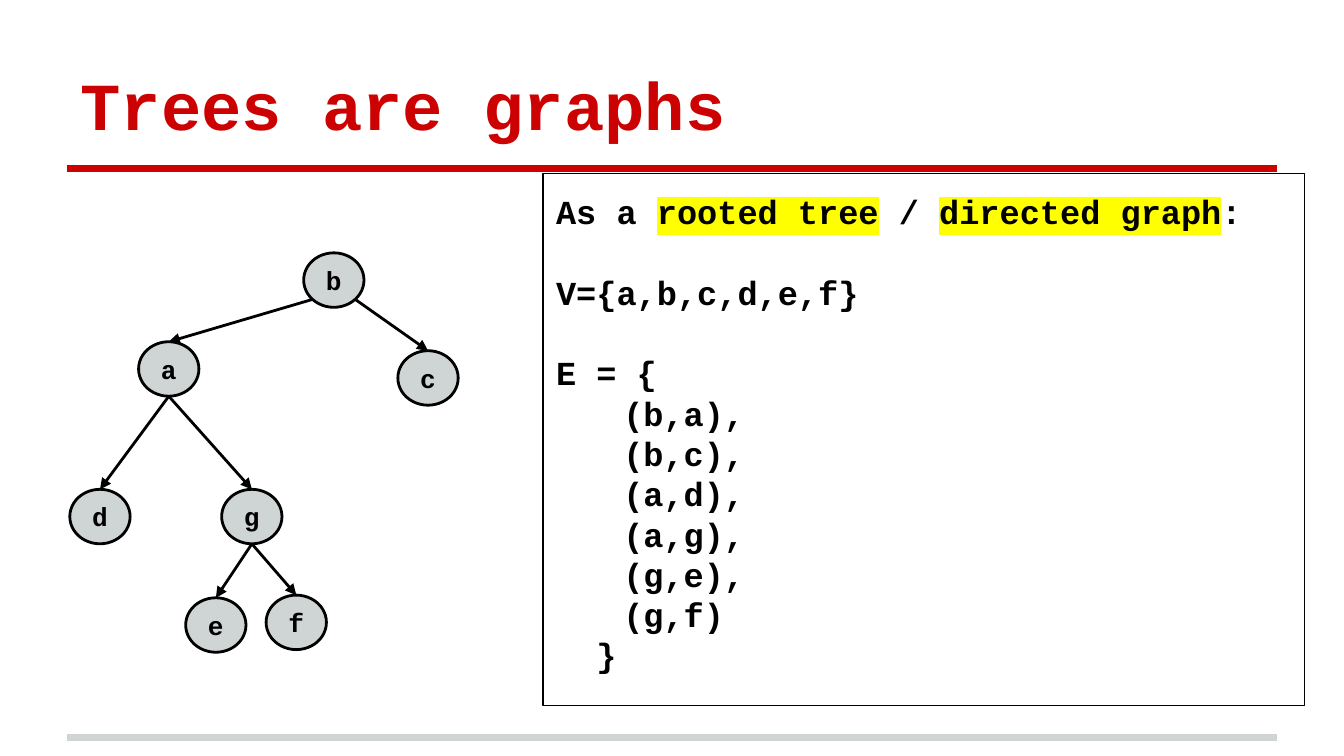
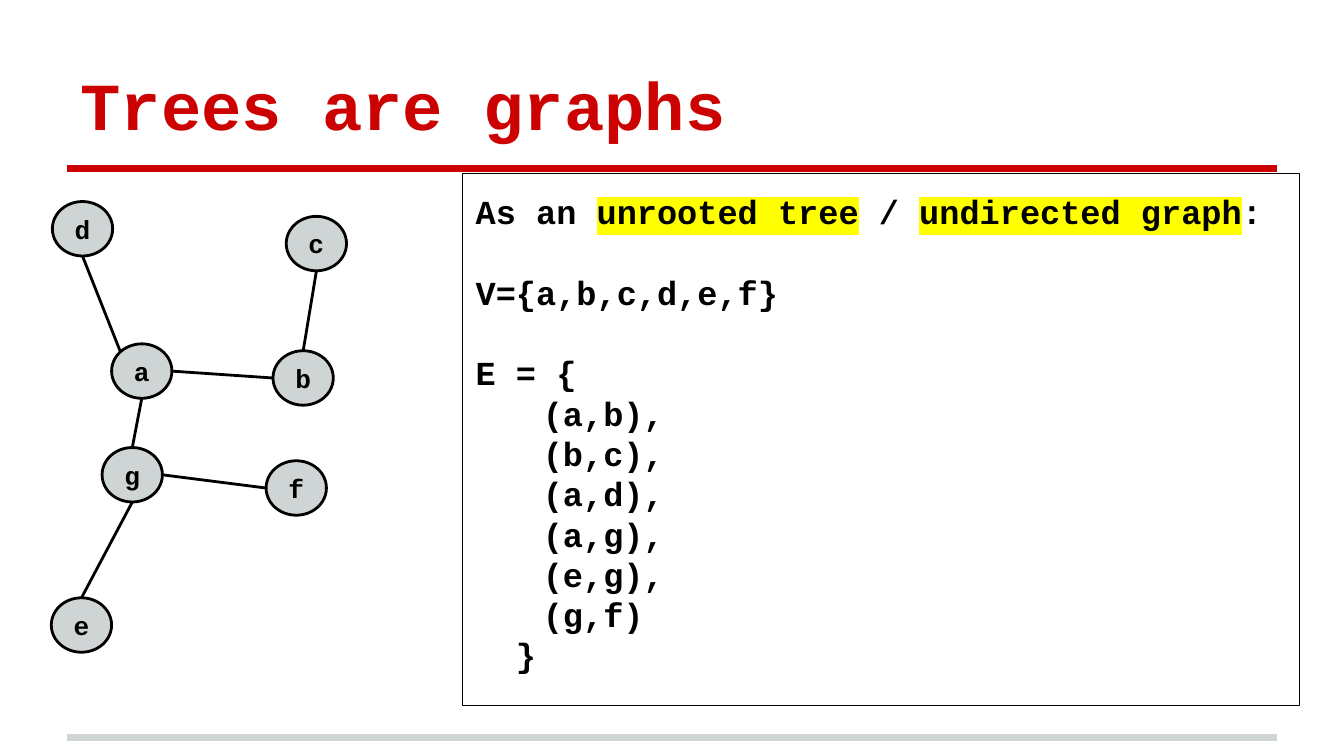
from math import cos, pi, sin

from lxml import etree
from pptx import Presentation
from pptx.dml.color import RGBColor
from pptx.enum.shapes import MSO_CONNECTOR, MSO_SHAPE
from pptx.enum.text import MSO_ANCHOR, MSO_AUTO_SIZE, PP_ALIGN
from pptx.oxml.ns import qn
from pptx.util import Cm, Pt

STRAIGHT = MSO_CONNECTOR.STRAIGHT
OVAL, RECT = MSO_SHAPE.OVAL, MSO_SHAPE.RECTANGLE
TOP, MIDDLE, BOTTOM = MSO_ANCHOR.TOP, MSO_ANCHOR.MIDDLE, MSO_ANCHOR.BOTTOM
LEFT, CENTER = PP_ALIGN.LEFT, PP_ALIGN.CENTER
FIXED = MSO_AUTO_SIZE.NONE

RED = RGBColor(0xCC, 0x02, 0x02)
GREY = RGBColor(0xCF, 0xD4, 0xD4)
BLACK = RGBColor(0, 0, 0)
MARK = "FFFF00"
FONT = "Courier New"

# Content: nodes are (left, top) in cm. Edges are (node, site, node, site),
# where oval sites run counter-clockwise from the top in steps of 45 degrees.
TITLE = "Trees are graphs"
VERTS = "V={a,b,c,d,e,f}"
SLIDES = [
    {
        "nodes": {"b": (5.74, 4.78), "a": (2.62, 6.46), "c": (7.52, 6.63),
                  "d": (1.32, 9.25), "g": (4.19, 9.25), "f": (5.03, 11.25),
                  "e": (3.51, 11.3)},
        "edges": [("b", 5, "c", 0), ("b", 3, "a", 0), ("a", 4, "d", 0),
                  ("a", 4, "g", 0), ("g", 4, "e", 0), ("g", 4, "f", 0)],
        "arrows": True,
        "box": (10.26, 14.4),
        "intro": ["As a ", "rooted tree", " / ", "directed graph", ":"],
        "pairs": ["(b,a),", "(b,c),", "(a,d),", "(a,g),", "(g,e),", "(g,f)"],
    },
    {
        "nodes": {"b": (5.16, 6.63), "a": (2.11, 6.5), "c": (5.41, 4.09),
                  "d": (0.99, 3.81), "g": (1.93, 8.46), "f": (5.03, 8.71),
                  "e": (0.97, 11.3)},
        "edges": [("b", 0, "c", 4), ("b", 2, "a", 6), ("a", 1, "d", 4),
                  ("a", 4, "g", 0), ("g", 4, "e", 0), ("g", 6, "f", 2)],
        "arrows": False,
        "box": (8.74, 15.82),
        "intro": ["As an ", "unrooted tree", " / ", "undirected graph", ":"],
        "pairs": ["(a,b),", "(b,c),", "(a,d),", "(a,g),", "(e,g),", "(g,f)"],
    },
]

NODE_W, NODE_H = 1.14, 1.03
RULES = [(13.94, GREY), (3.18, RED)]
PITCH = Pt(21.6)


def add_run(para, text, size, color=BLACK, mark=False):
    run = para.add_run()
    run.text = text
    font = run.font
    font.name, font.size, font.bold = FONT, Pt(size), True
    font.color.rgb = color
    if mark:
        glow = etree.Element(qn("a:highlight"))
        etree.SubElement(glow, qn("a:srgbClr"), val=MARK)
        run.font.fill  # colour comes first, then highlight, then typeface
        run._r.rPr.find(qn("a:latin")).addprevious(glow)


def set_frame(frame, anchor, wrap=True, top=0.25):
    frame.auto_size, frame.word_wrap = FIXED, wrap
    frame.vertical_anchor = anchor
    frame.margin_left = frame.margin_right = frame.margin_bottom = Cm(0.25)
    frame.margin_top = Cm(top)


def add_line(slide, start, end, color, width):
    line = slide.shapes.add_connector(STRAIGHT, *map(Cm, start + end))
    line.line.color.rgb = color
    line.line.width = Pt(width)
    etree.SubElement(line.element.spPr, qn("a:effectLst"))
    return line


def add_rules(slide, master):
    """Draw the two bands once and hand them to the master."""
    for i, (y, color) in enumerate(RULES):
        item = add_line(slide, (1.27, y), (24.13, y), color, 4).element
        item.nvCxnSpPr.cNvPr.set("id", str(100 + i))
        master.shapes.element.append(item)


def add_title(slide):
    title = slide.shapes.title
    title.left, title.top = Cm(1.27), Cm(0.58)
    title.width, title.height = Cm(22.86), Cm(2.39)
    set_frame(title.text_frame, BOTTOM)
    para = title.text_frame.paragraphs[0]
    para.alignment = LEFT
    add_run(para, TITLE, 36, RED)


def add_shape(slide, kind, place, width):
    shape = slide.shapes.add_shape(kind, *map(Cm, place))
    shape.shadow.inherit = False
    shape.line.color.rgb = BLACK
    shape.line.width = Pt(width)
    return shape


def add_node(slide, name, spot):
    node = add_shape(slide, OVAL, spot + (NODE_W, NODE_H), 1.5)
    node.fill.solid()
    node.fill.fore_color.rgb = GREY
    set_frame(node.text_frame, MIDDLE, wrap=False)
    para = node.text_frame.paragraphs[0]
    para.alignment = CENTER
    add_run(para, name, 14)
    return node


def site_at(spot, site):
    turn = site * pi / 4
    return (spot[0] + NODE_W * (1 - sin(turn)) / 2,
            spot[1] + NODE_H * (1 - cos(turn)) / 2)


def add_graph(slide, data):
    spots = data["nodes"]
    nodes = {name: add_node(slide, name, spot) for name, spot in spots.items()}
    for a, out, b, into in data["edges"]:
        edge = add_line(slide, site_at(spots[a], out),
                        site_at(spots[b], into), BLACK, 1.5)
        # Oval sites above 3 are joined in XML
        joint = edge.element.nvCxnSpPr.cNvCxnSpPr
        for tag, name, site in (("a:stCxn", a, out), ("a:endCxn", b, into)):
            etree.SubElement(joint, qn(tag), id=str(nodes[name].shape_id),
                             idx=str(site))
        if data["arrows"]:
            etree.SubElement(edge.line._get_or_add_ln(), qn("a:tailEnd"),
                             type="triangle")


def add_sets(slide, data):
    left, width = data["box"]
    box = add_shape(slide, RECT, (left, 3.28, width, 10.06), 0.75)
    box.fill.background()
    frame = box.text_frame
    set_frame(frame, TOP, top=0.33)

    # Each row: runs, indent in cm, gap before
    rows = [(data["intro"], 0, 0), ([VERTS], 0, PITCH), (["E = {"], 0, PITCH)]
    rows += [([pair], 1.27, 0) for pair in data["pairs"]]
    rows.append((["}"], 0.76, 0))
    for i, (runs, indent, gap) in enumerate(rows):
        para = frame.add_paragraph() if i else frame.paragraphs[0]
        para.alignment, para.line_spacing = LEFT, PITCH
        para.space_before = gap
        para._p.get_or_add_pPr().set("marL", str(Cm(indent)))
        for j, text in enumerate(runs):
            add_run(para, text, 18, mark=j % 2 == 1)


def main():
    prs = Presentation()
    prs.slide_width, prs.slide_height = Cm(25.4), Cm(14.29)
    for i, data in enumerate(SLIDES):
        slide = prs.slides.add_slide(prs.slide_layouts[5])
        if i == 0:
            add_rules(slide, prs.slide_master)
        add_title(slide)
        add_graph(slide, data)
        add_sets(slide, data)
    prs.save("out.pptx")


if __name__ == "__main__":
    main()
